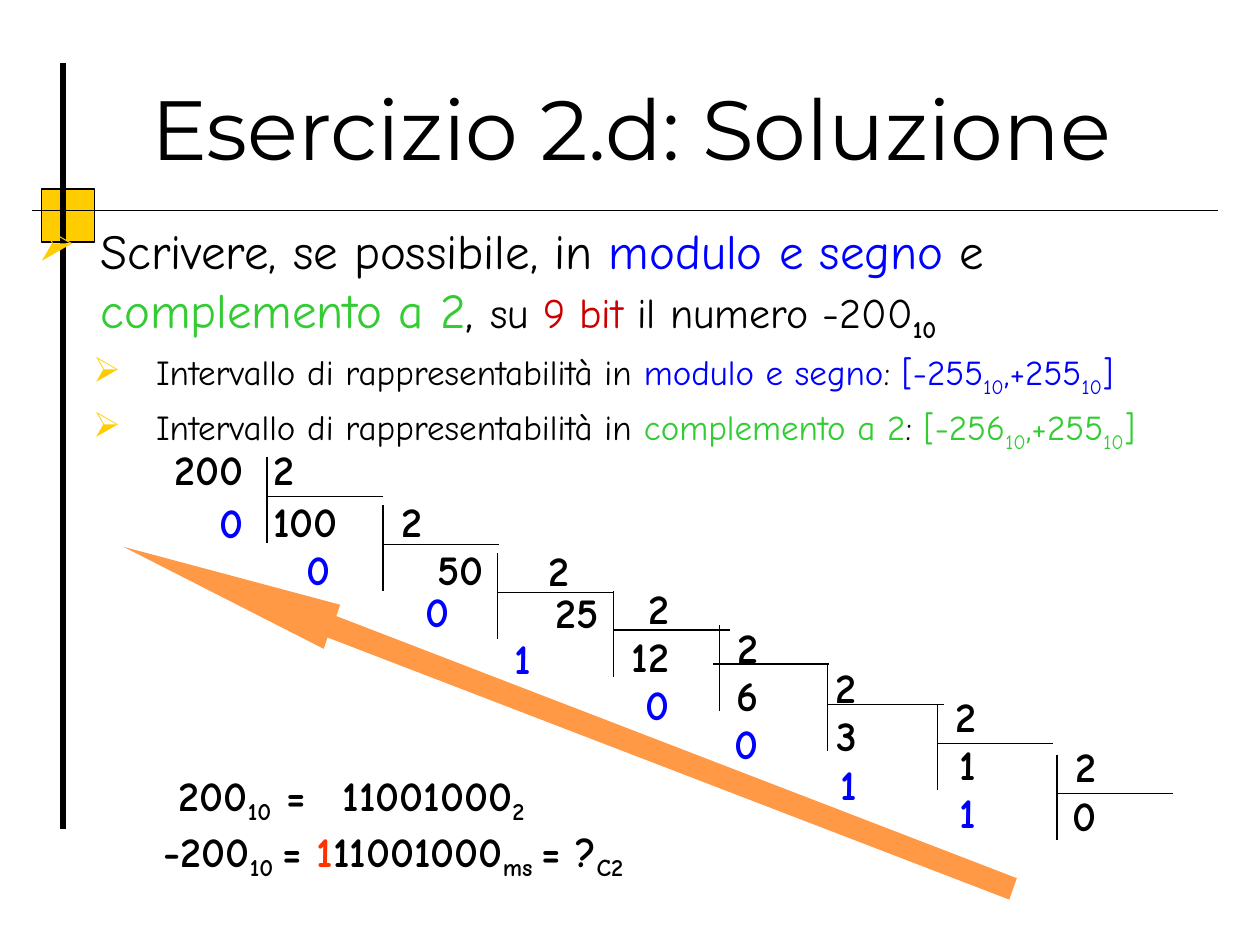
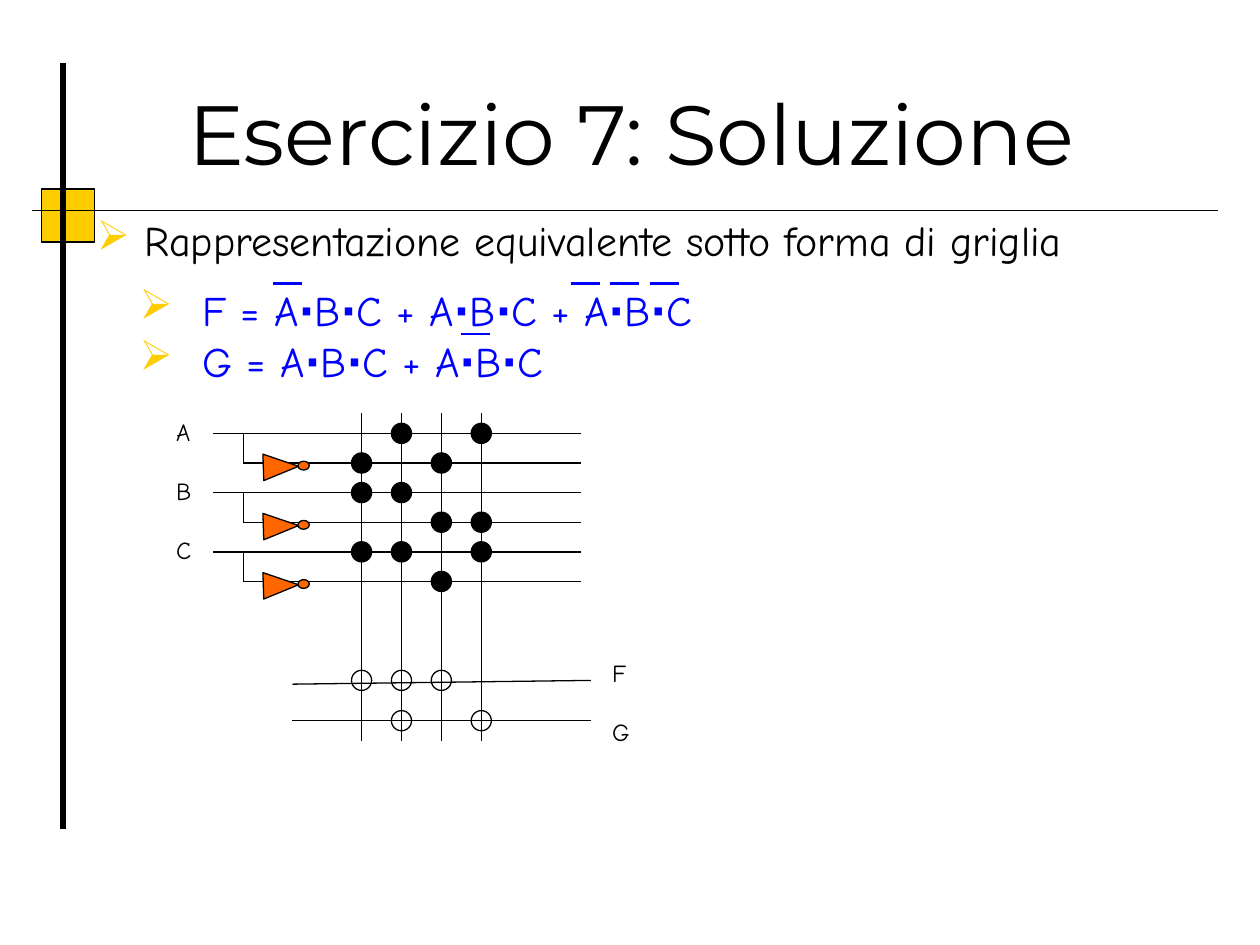
"""Build two exercise solutions: a conversion to binary and a logic grid."""
import dataclasses
import itertools

import lxml.etree
import pptx
import pptx.dml.color
import pptx.enum.shapes
import pptx.enum.text
import pptx.oxml.ns
import pptx.util


@dataclasses.dataclass(frozen=True)
class Theme:
    ink: str = "000000"
    gold: str = "FFCC00"
    blue: str = "0000FF"
    green: str = "33CC33"
    red: str = "CC0000"
    sign: str = "FF3300"
    arrow: str = "FF9946"
    gate: str = "FF6600"
    heading: str = "Montserrat"
    body: str = "Comic Neue"
    title_size: int = 48
    lead_size: int = 28
    text_size: int = 24
    detail_size: int = 20
    label_size: int = 14
    thin: float = 0.75
    bar: float = 1.5
    thick: float = 3


theme = Theme()
rgb = pptx.dml.color.RGBColor.from_string
shapes = pptx.enum.shapes.MSO_SHAPE
align = pptx.enum.text.PP_ALIGN
anchor = pptx.enum.text.MSO_ANCHOR
qn = pptx.oxml.ns.qn

deck = pptx.Presentation()
deck.slide_width = pptx.util.Inches(10)
deck.slide_height = pptx.util.Inches(7.5)
column = deck.slide_width / 10
row = deck.slide_height / 7.5

plain = dict(size=theme.text_size, color=theme.ink, font=theme.body, bold=False, base=0,
             align=align.LEFT, anchor=anchor.TOP, inset=(0.1, 0.05), indent=0, hang=0,
             before=0, leading=None, bullet=None)


def write(slide, box, paragraphs, **format):
    """Write paragraphs of (runs, format) whose runs are text or (text, format)."""
    left, top, width, height = box
    style = {**plain, **format}
    frame = slide.shapes.add_textbox(round(left * column), round(top * row),
                                     round(width * column), round(height * row)).text_frame
    frame.word_wrap = True
    frame.vertical_anchor = style["anchor"]
    frame.margin_left = frame.margin_right = round(style["inset"][0] * column)
    frame.margin_top = frame.margin_bottom = round(style["inset"][1] * row)
    for number, (runs, own) in enumerate(paragraphs):
        look = {**style, **own}
        paragraph = frame.add_paragraph() if number else frame.paragraphs[0]
        paragraph.alignment = look["align"]
        if number:
            paragraph.space_before = pptx.util.Pt(look["before"])
        if look["leading"]:
            paragraph.line_spacing = look["leading"]
        props = paragraph._p.get_or_add_pPr()
        props.set("marL", str(round(look["indent"] * column)))
        props.set("indent", str(round(-look["hang"] * column)))
        if look["bullet"]:
            tint = lxml.etree.SubElement(props, qn("a:buClr"))
            lxml.etree.SubElement(tint, qn("a:srgbClr"), val=theme.gold)
            lxml.etree.SubElement(props, qn("a:buChar"), char=look["bullet"])
        for piece in runs:
            text, special = (piece, {}) if isinstance(piece, str) else piece
            mark = {**look, **special}
            run = paragraph.add_run()
            run.text = text
            run.font.name = mark["font"]
            run.font.size = pptx.util.Pt(mark["size"])
            run.font.bold = mark["bold"]
            run.font.color.rgb = rgb(mark["color"])
            if mark["base"]:
                run._r.get_or_add_rPr().set("baseline", str(mark["base"] * 1000))


def rule(slide, x1, y1, x2, y2, color=theme.ink, weight=theme.thin):
    """Draw a straight line between two grid points."""
    stroke = slide.shapes.add_connector(
        pptx.enum.shapes.MSO_CONNECTOR.STRAIGHT,
        round(x1 * column), round(y1 * row), round(x2 * column), round(y2 * row))
    stroke.line.color.rgb = rgb(color)
    stroke.line.width = pptx.util.Pt(weight)
    lxml.etree.SubElement(stroke._element.spPr, qn("a:effectLst"))


for title, title_top in [("Esercizio 2.d: Soluzione", 0.21), ("Esercizio 7: Soluzione", 0.25)]:
    page = deck.slides.add_slide(deck.slide_layouts[6])
    corner = page.shapes.add_shape(shapes.RECTANGLE, round(0.33 * column), round(1.5 * row),
                                   round(0.42 * column), round(0.42 * row))
    corner.shadow.inherit = False
    corner.fill.solid()
    corner.fill.fore_color.rgb = rgb(theme.gold)
    corner.line.color.rgb = rgb(theme.ink)
    corner.line.width = pptx.util.Pt(theme.thin)
    rule(page, 0.5, 6.58, 0.5, 0.5, weight=theme.thick)
    rule(page, 0.25, 1.67, 9.67, 1.67)
    write(page, (0.44, title_top, 9.14, 1.25), [([title], {})], size=theme.title_size,
          font=theme.heading, align=align.CENTER, anchor=anchor.BOTTOM)

conversion, grid = deck.slides
blue = dict(color=theme.blue)
green = dict(color=theme.green)
lead = dict(size=theme.lead_size)

question = [("Scrivere, se possibile, in ", lead), ("modulo e segno ", {**lead, **blue}),
            ("e ", lead), ("complemento a 2", {**lead, **green}), (", ", lead), "su ",
            ("9 bit ", dict(color=theme.red)), "il numero -200", ("10", dict(bold=True, base=-25))]
statement = [(question, dict(indent=0.5, hang=0.5))]
for notation, lowest, tone in [("modulo e segno", "[-255", blue),
                               ("complemento a 2", "[-256", green)]:
    small = {**tone, "base": -25}
    statement.append((["Intervallo di rappresentabilità in ", (notation, tone), ": ",
                       (lowest, tone), ("10", small), (",+255", tone), ("10", small), ("]", tone)],
                      dict(indent=0.94, hang=0.5, size=theme.detail_size, before=4)))
write(conversion, (0.2, 1.7, 9.8, 4.65), statement, bullet="➢")

for x, top, overhang in [(2.12, 3.63, 0), (3.04, 4.01, 0), (3.95, 4.39, 0), (4.87, 4.69, 0),
                         (5.71, 4.96, 0.05), (6.57, 5.28, 0), (7.44, 5.59, 0), (8.39, 5.99, 0)]:
    rule(conversion, x, top, x, top + 0.68)
    rule(conversion, x - overhang, top + 0.31, x - overhang + 0.92, top + 0.31)

tip, *outline = [(0.98, 4.34), (2.57, 5.15), (2.6, 5.06), (8.01, 7.14),
                 (8.07, 6.97), (2.67, 4.89), (2.7, 4.8)]
builder = conversion.shapes.build_freeform(
    round(tip[0] * column), round(tip[1] * row), scale=1.0)
builder.add_line_segments([(round(x * column), round(y * row)) for x, y in outline])
reading_order = builder.convert_to_shape()
reading_order.shadow.inherit = False
reading_order.fill.solid()
reading_order.fill.fore_color.rgb = rgb(theme.arrow)
reading_order.line.fill.background()

figures = dict(bold=True, inset=(0, 0))
write(conversion, (1.27, 3.52, 0.66, 0.82), [(["200"], {}), (["0"], blue)],
      align=align.RIGHT, before=1.2, **figures)
for left, top, numbers, indents, leadings in [
        (2.17, 3.52, ("2", "100", "0"), (0, 0, 0.26), (None, 29.7, 27.6)),
        (3.19, 3.93, ("2", "50", "0"), (0, 0.28, 0.19), (None, 27.6, 24)),
        (4.08, 4.32, ("2", "25", "1"), (0.27, 0.33, 0), (None, 24, 26.4))]:
    write(conversion, (left, top, 0.8, 1.2),
          [([number], dict(indent=indent, color=tone,
                           leading=leading and pptx.util.Pt(leading)))
           for number, indent, leading, tone
           in zip(numbers, indents, leadings, (theme.ink, theme.ink, theme.blue))], **figures)
pitch = pptx.util.Pt(26.4)
for left, top, width, quotient, remainder in [
        (4.76, 4.62, 0.55, "12", "0"), (5.79, 4.93, 0.23, "6", "0"), (6.57, 5.25, 0.23, "3", "1"),
        (7.52, 5.48, 0.23, "1", "1"), (8.47, 5.88, 0.23, "0", None)]:
    step = [(["2"], {}), ([quotient], dict(leading=pitch))]
    if remainder:
        step.append(([remainder], dict(leading=pitch, **blue)))
    write(conversion, (left, top, width, 1.57), step, align=align.RIGHT, before=1.2, **figures)

low = dict(base=-21)
write(conversion, (1.3, 6.11, 8.7, 0.81), [
    (["200", ("10", low), " ="], dict(indent=0.12)),
    (["-200", ("10 ", low), "= ", ("1", dict(color=theme.sign)), "11001000", ("ms ", low),
      "= ?", ("C2", low)], {}),
], **figures)
write(conversion, (2.72, 6.11, 2, 0.4), [(["11001000", ("2", low)], {})], **figures)

write(grid, (0.67, 1.7, 8.98, 5.43),
      [(["Rappresentazione equivalente sotto forma di griglia"], {})],
      bullet="➢", indent=0.38, hang=0.38, leading=0.9)
formulas = ["F = A⋅B⋅C + A⋅B⋅C + A⋅B⋅C", "G = A⋅B⋅C + A⋅B⋅C"]
write(grid, (0.51, 2.21, 9.49, 0.91),
      [([("".join(signs), dict(bold=is_dot))
         for is_dot, signs in itertools.groupby(formula, lambda sign: sign == "⋅")], {})
       for formula in formulas],
      bullet="➢", indent=1, hang=0.5, color=theme.blue)
for x, y in [(2.17, 2.25), (4.53, 2.25), (4.84, 2.25), (5.16, 2.25), (3.66, 2.65)]:
    rule(grid, x, y, x + 0.23, y, color=theme.blue, weight=theme.bar)

for box, names in [((1.3, 3.26, 0.39, 1.51), "ABC"), ((4.76, 5.17, 0.47, 1.78), "FG")]:
    write(grid, box, [([name], {}) for name in names], size=theme.label_size, before=17)

terms = [2.87 + term * 0.95 / 3 for term in range(4)]
signals = [3.44 + signal * 0.47 / 2 for signal in range(6)]
outputs = [5.4, 5.72]
for x in terms:
    rule(grid, x, 3.28, x, 5.88)
for y, start in zip(outputs, [5.43, 5.72]):
    rule(grid, 2.32, start, 4.69, y)

symbols = []
for direct, inverted in zip(signals[::2], signals[1::2]):
    rule(grid, 1.69, direct, 4.61, direct)
    rule(grid, 1.93, inverted, 4.61, inverted)
    rule(grid, 1.93, direct, 1.93, inverted)
    symbols += [(shapes.FLOWCHART_MERGE, 2.23, inverted + 0.03, 0.21, 0.28, theme.gate, 268.2),
                (shapes.OVAL, 2.41, inverted + 0.02, 0.07, 0.09, theme.gate, 268.2)]
for levels, links, fill in [(signals, [(1, 2, 4), (0, 2, 4), (1, 3, 5), (0, 3, 4)], theme.ink),
                            (outputs, [(0,), (0, 1), (0,), (1,)], None)]:
    symbols += [(shapes.OVAL, x, levels[level], 0.16, 0.16, fill, 0)
                for x, joined in zip(terms, links) for level in joined]

for kind, x, y, width, height, fill, turn in symbols:
    symbol = grid.shapes.add_shape(kind, round((x - width / 2) * column),
                                   round((y - height / 2) * row),
                                   round(width * column), round(height * row))
    symbol.shadow.inherit = False
    symbol.rotation = turn
    symbol.line.color.rgb = rgb(theme.ink)
    symbol.line.width = pptx.util.Pt(theme.thin)
    if fill:
        symbol.fill.solid()
        symbol.fill.fore_color.rgb = rgb(fill)
    else:
        symbol.fill.background()

deck.save("out.pptx")
